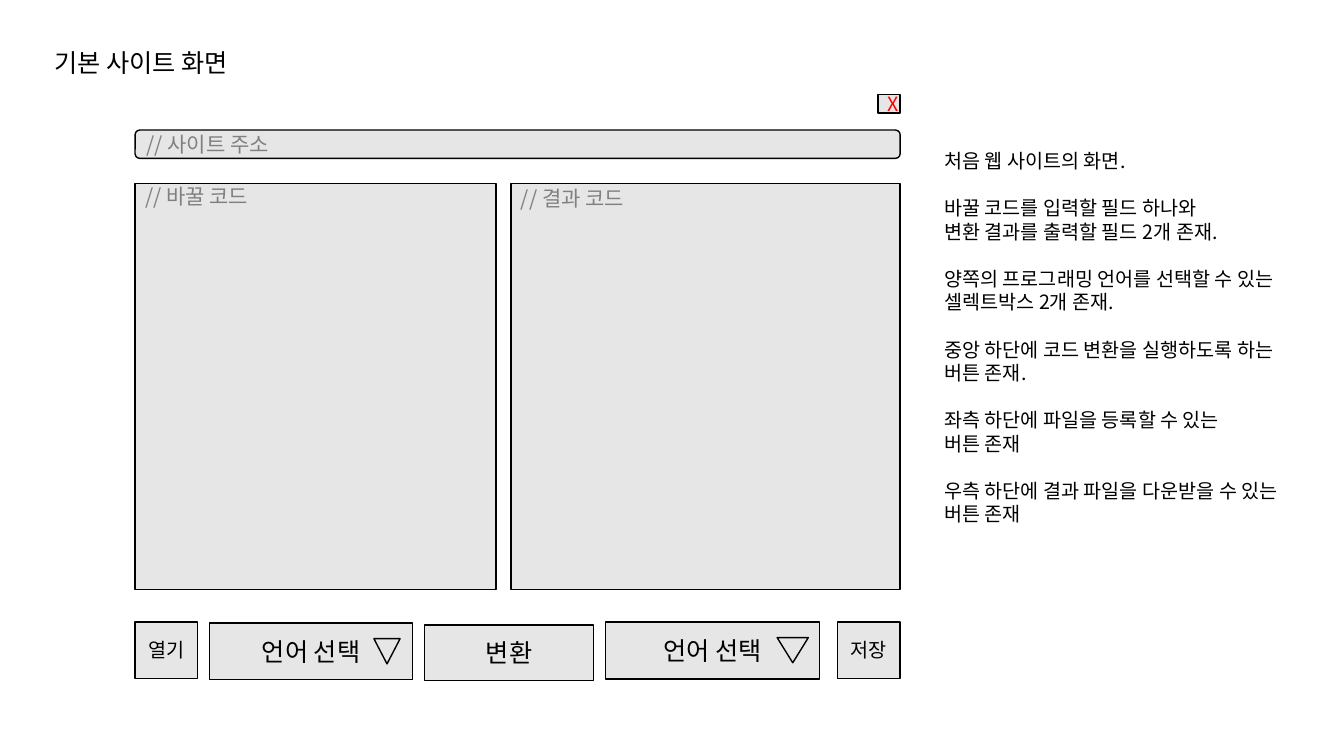
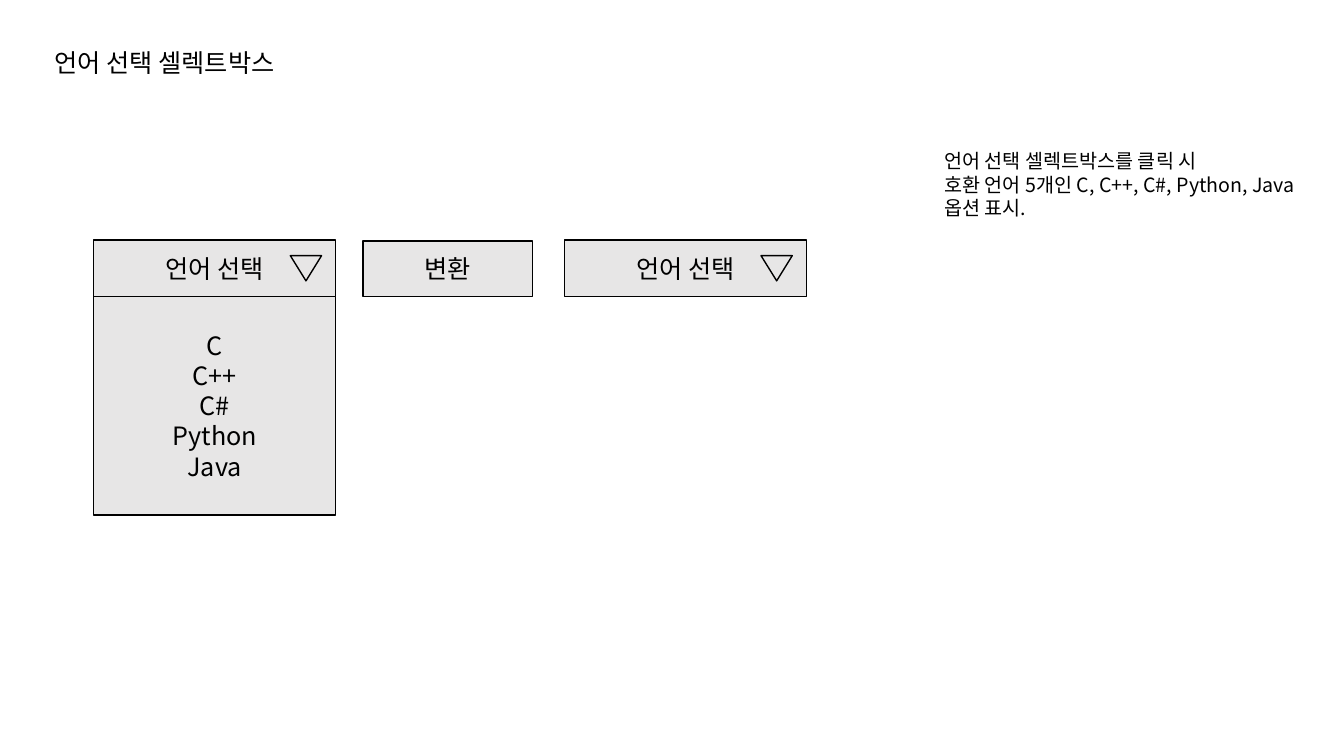
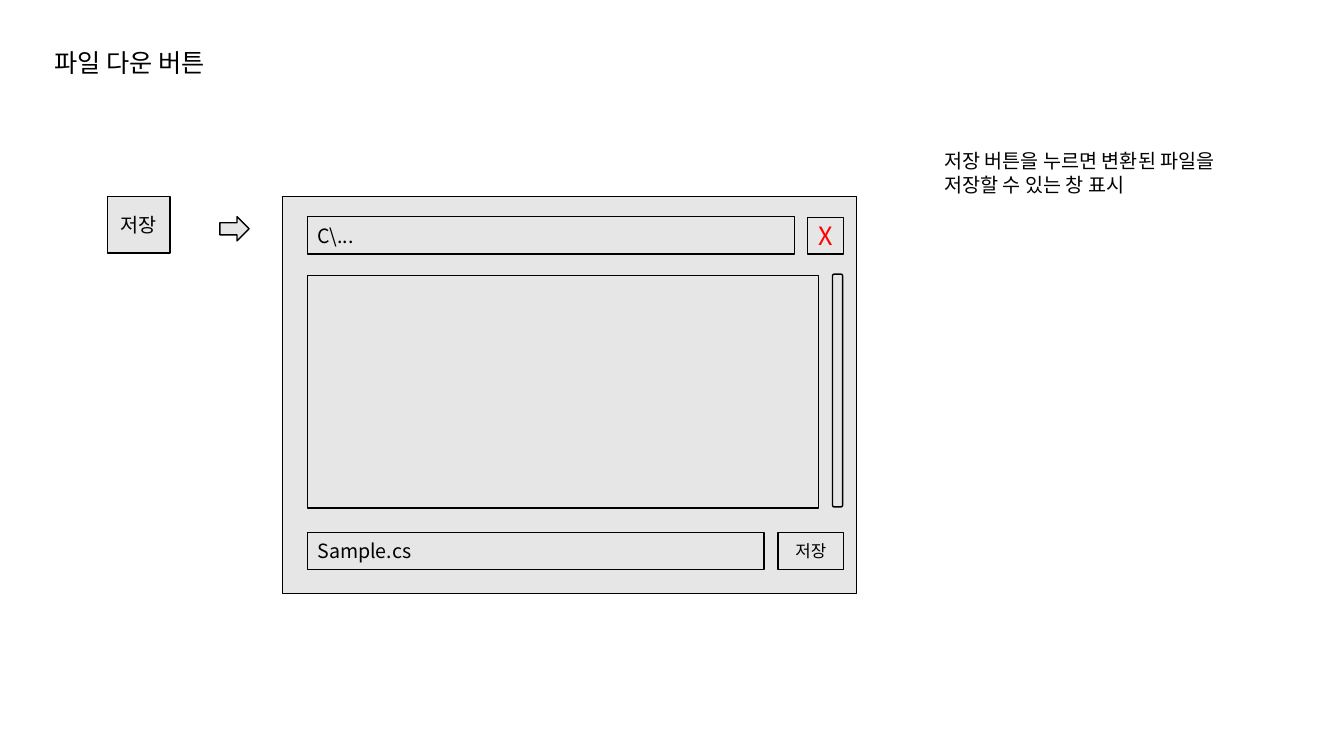
"""Build three wireframe slides for a code converter site."""
from dataclasses import dataclass
from typing import Any

from lxml.etree import SubElement
from pptx import Presentation as Deck
from pptx.dml.color import RGBColor as Color
from pptx.enum.shapes import MSO_SHAPE as Kind
from pptx.enum.text import MSO_ANCHOR as Anchor, PP_ALIGN as Align
from pptx.oxml.ns import qn
from pptx.util import Pt


@dataclass(frozen=True)
class Theme:
    font: str = "Noto Sans CJK KR"
    ink: str = "000000"
    fill: str = "E7E6E6"
    hint: str = "808080"
    alert: str = "FF0000"
    head: float = 18
    field: float = 15
    note: float = 14
    small: float = 12
    gap: float = 16.8
    line: float = 1


look = Theme()


@dataclass(frozen=True)
class Box:
    left: float
    top: float
    wide: float
    high: float
    text: str = ""
    size: float = look.head
    ink: str = look.ink
    align: Any = Align.CENTER
    kind: Any = Kind.RECTANGLE
    turn: float = 0
    inset: float | None = None


@dataclass(frozen=True)
class Page:
    title: str
    width: float
    notes: tuple[str, ...]
    span: float
    boxes: tuple[Box, ...]


def apply(item: Any, values: dict[str, Any]) -> None:
    for name, value in values.items():
        setattr(item, name, value)


def place(item: Any, left: float, top: float, wide: float, high: float) -> None:
    apply(item, {"left": Pt(left), "top": Pt(top), "width": Pt(wide), "height": Pt(high)})


def write(frame: Any, groups: tuple[str, ...], size: float, ink: str, align: Any) -> None:
    rows = [(line, look.gap if n and not i else 0)
            for n, group in enumerate(groups)
            for i, line in enumerate(group.split("\n"))]
    for n, (line, space) in enumerate(rows):
        para = frame.add_paragraph() if n else frame.paragraphs[0]
        apply(para, {"alignment": align, "space_before": Pt(space)})
        run = para.add_run()
        run.text = line
        apply(run.font, {"name": look.font, "size": Pt(size)})
        run.font.color.rgb = Color.from_string(ink)
        SubElement(run.font._element, qn("a:ea"), typeface=look.font)


def draw(slide: Any, box: Box) -> None:
    shape = slide.shapes.add_shape(
        box.kind, Pt(box.left), Pt(box.top), Pt(box.wide), Pt(box.high))
    shape.rotation = box.turn
    shape.shadow.inherit = False
    shape.fill.solid()
    shape.fill.fore_color.rgb = Color.from_string(look.fill)
    shape.line.color.rgb = Color.from_string(look.ink)
    shape.line.width = Pt(look.line)
    if box.text:
        frame = shape.text_frame
        apply(frame, {"word_wrap": True, "vertical_anchor": Anchor.MIDDLE})
        if box.inset is not None:
            apply(frame, {"vertical_anchor": Anchor.TOP, "margin_top": Pt(box.inset)})
        write(frame, (box.text,), box.size, box.ink, box.align)


def build(deck: Any, page: Page) -> None:
    slide = deck.slides.add_slide(deck.slide_layouts[5])
    title = slide.shapes.title
    place(title, 31.7, 30.2, page.width, 28.8)
    apply(title.text_frame, {"word_wrap": False, "vertical_anchor": Anchor.TOP})
    write(title.text_frame, (page.title,), look.head, look.ink, Align.LEFT)
    for box in page.boxes:
        draw(slide, box)
    lines = sum(group.count("\n") + 1 for group in page.notes) + len(page.notes) - 1
    note = slide.shapes.add_textbox(
        Pt(667.4), Pt(103), Pt(page.span), Pt(7.2 + lines * look.gap))
    note.text_frame.word_wrap = False
    write(note.text_frame, page.notes, look.note, look.ink, Align.LEFT)


def pick(left: float, top: float, wide: float, high: float,
         tip: float = 140.4, span: float = 22.3) -> tuple[Box, Box]:
    return (Box(left, top, wide, high, "언어 선택"),
            Box(left + tip, top + 11.2, span, 18, kind=Kind.ISOSCELES_TRIANGLE, turn=180))


def hint(left: float, top: float, wide: float, high: float, text: str,
         inset: float | None = None, kind: Any = Kind.RECTANGLE) -> Box:
    return Box(left, top, wide, high, text, look.field, look.hint, Align.LEFT,
               kind, inset=inset)


def button(left: float, top: float, text: str) -> Box:
    return Box(left, top, 44.6, 40.3, text, look.note)


def swap(left: float, top: float) -> Box:
    return Box(left, top, 121, 39.6, "변환")


def entry(top: float, wide: float, text: str) -> Box:
    return Box(219.6, top, wide, 26.6, text, look.note, align=Align.LEFT)


pages = (
    Page("기본 사이트 화면", 154.8, (
        "처음 웹 사이트의 화면.",
        "바꿀 코드를 입력할 필드 하나와\n변환 결과를 출력할 필드 2개 존재.",
        "양쪽의 프로그래밍 언어를 선택할 수 있는\n셀렉트박스 2개 존재.",
        "중앙 하단에 코드 변환을 실행하도록 하는\n버튼 존재.",
        "좌측 하단에 파일을 등록할 수 있는\n버튼 존재",
        "우측 하단에 결과 파일을 다운받을 수 있는\n버튼 존재",
    ), 284.4, (
        hint(96.5, 131, 257.8, 290.2, "// 바꿀 코드", 0),
        hint(365, 131, 278, 290.2, "// 결과 코드", 1.5),
        swap(303.1, 446.4),
        *pick(149.8, 445, 144.7, 40.3, 117.3, 18.7),
        *pick(432.7, 444.2, 152.6, 41, 122.4),
        hint(96.5, 92.9, 546.5, 20.2, "// 사이트 주소", kind=Kind.ROUNDED_RECTANGLE),
        Box(627.1, 67.7, 15.8, 13, "X", look.note, look.alert),
        button(96.5, 444.2, "열기"),
        button(598.3, 444.2, "저장"),
    )),
    Page("언어 선택 셀렉트박스", 190.8, (
        "언어 선택 셀렉트박스를 클릭 시\n"
        "호환 언어 5개인 C, C++, C#, Python, Java\n옵션 표시.",
    ), 280, (
        *pick(67, 171.4, 172.8, 40.3),
        Box(67, 211.7, 172.8, 156.2, "C\nC++\nC#\nPython\nJava"),
        *pick(403.2, 171.4, 172.8, 40.3),
        swap(259.2, 172.1),
    )),
    Page("파일 다운 버튼", 136.8, (
        "저장 버튼을 누르면 변환된 파일을\n저장할 수 있는 창 표시",
    ), 231.8, (
        button(77, 140.4, "저장"),
        Box(201.6, 140.4, 410.4, 283.7),
        Box(157, 154.8, 20.9, 17.3, kind=Kind.RIGHT_ARROW),
        entry(154.8, 347.8, "C\\..."),
        Box(576.7, 155.5, 25.9, 25.9, "X", ink=look.alert),
        entry(380.2, 326.2, "Sample.cs"),
        Box(555.8, 380.2, 46.8, 26.6, "저장", look.small),
        Box(219.6, 196.6, 365, 166.3),
        Box(594.7, 195.8, 7.2, 166.3, kind=Kind.ROUNDED_RECTANGLE),
    )),
)

deck = Deck()
apply(deck, {"slide_width": Pt(960), "slide_height": Pt(540)})
for page in pages:
    build(deck, page)
deck.save("out.pptx")
